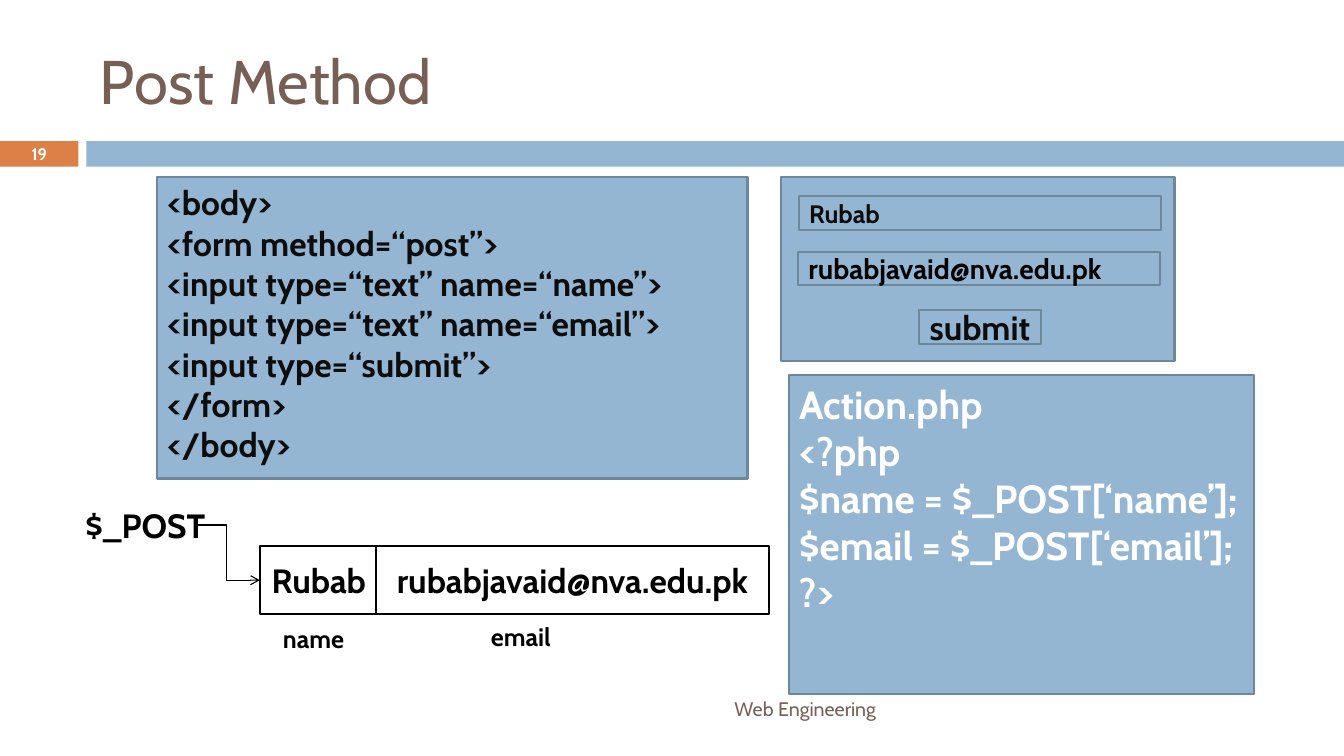
"""Build the Post Method slide."""
from dataclasses import dataclass

from lxml import etree
from pptx import Presentation
from pptx.dml.color import RGBColor
from pptx.enum.shapes import MSO_CONNECTOR, MSO_SHAPE
from pptx.enum.text import MSO_ANCHOR, PP_ALIGN
from pptx.oxml.ns import qn
from pptx.util import Cm, Pt

RECT = MSO_SHAPE.RECTANGLE
ELBOW = MSO_CONNECTOR.ELBOW
TOP, MIDDLE = MSO_ANCHOR.TOP, MSO_ANCHOR.MIDDLE
LEFT, CENTER, RIGHT = PP_ALIGN.LEFT, PP_ALIGN.CENTER, PP_ALIGN.RIGHT

FONT = "Cabin"
BLUE, EDGE, ORANGE = "94B6D2", "6D879B", "DD8047"
BROWN, INK, BLACK, WHITE = "775F55", "0D0D0D", "000000", "FFFFFF"
EMAIL = "rubabjavaid@nva.edu.pk"
FORM = """<body>
<form method=“post”>
<input type=“text” name=“name”>
<input type=“text” name=“email”>
<input type=“submit”>
</form>
</body>"""
ACTION = """Action.php
<?php
$name = $_POST[‘name’];
$email = $_POST[‘email’];
?>"""


@dataclass
class Text:
    """Words and their format."""
    words: str
    size: float
    color: str = BLACK
    align: PP_ALIGN = LEFT
    anchor: MSO_ANCHOR = MIDDLE
    bold: bool = True


@dataclass
class Box:
    """A rectangle in centimetres, plain when it has no fill."""
    left: float
    top: float
    width: float
    height: float
    text: Text | None = None
    fill: str | None = None
    edge: str | None = None


BOXES = {
    "tab": Box(0, 3.56, 1.98, 0.64, fill=ORANGE),
    "band": Box(2.18, 3.56, 31.69, 0.64, fill=BLUE),
    "footer": Box(2.26, 17.35, 20.07, 1.02,
                  Text("Web Engineering", 14, BROWN, RIGHT, bold=False)),
    "number": Box(0, 3.53, 1.98, 0.69, Text("19", 11.9, WHITE, CENTER)),
    "code": Box(3.96, 4.47, 14.88, 7.59, Text(FORM, 24, INK, anchor=TOP), BLUE, EDGE),
    "form": Box(19.69, 4.47, 9.91, 4.62, fill=BLUE, edge=EDGE),
    "name field": Box(20.14, 4.95, 9.12, 0.84, Text("Rubab", 18, INK), BLUE, EDGE),
    "email field": Box(20.12, 6.35, 9.12, 0.84, Text(EMAIL, 20), BLUE, EDGE),
    "submit": Box(23.16, 7.82, 3.07, 0.84, Text("submit", 24, INK, CENTER), BLUE, EDGE),
    "name cell": Box(6.55, 13.77, 2.97, 1.7, Text("Rubab", 24, align=CENTER), WHITE, BLACK),
    "name key": Box(6.88, 15.57, 2.34, 1.02, Text("name", 18, anchor=TOP)),
    "email key": Box(12.12, 15.54, 4.65, 1.02, Text("email", 18, anchor=TOP)),
    "array": Box(1.9, 12.6, 3.81, 1.27, Text("$_POST", 24, anchor=TOP)),
    "email cell": Box(9.47, 13.77, 9.91, 1.7, Text(EMAIL, 24, align=CENTER), WHITE, BLACK),
    "action": Box(19.89, 9.45, 11.71, 8.05, Text(ACTION, 28, WHITE, anchor=TOP), BLUE, EDGE),
}


def rgb(code: str) -> RGBColor:
    """Turn a hex string into a colour."""
    return RGBColor.from_string(code)


def write(shape, text: Text) -> None:
    """Put formatted text into a shape."""
    frame = shape.text_frame
    frame.text = text.words
    frame.word_wrap = True
    frame.vertical_anchor = text.anchor
    for para in frame.paragraphs:
        para.alignment = text.align
        font = para.font
        font.name, font.size, font.bold = FONT, Pt(text.size), text.bold
        font.color.rgb = rgb(text.color)


def draw(slide, box: Box):
    """Draw a box or a bare label."""
    area = [Cm(n) for n in (box.left, box.top, box.width, box.height)]
    if box.fill:
        shape = slide.shapes.add_shape(RECT, *area)
        shape.shadow.inherit = False
        shape.fill.solid()
        shape.fill.fore_color.rgb = rgb(box.fill)
        if box.edge:
            shape.line.color.rgb = rgb(box.edge)
            shape.line.width = Pt(1.5)
        else:
            shape.line.fill.background()
    else:
        shape = slide.shapes.add_textbox(*area)
    if box.text:
        write(shape, box.text)
    return shape


def link(slide, left: float, top: float, cell) -> None:
    """Draw a bent arrow to the left side of a cell."""
    arrow = slide.shapes.add_connector(ELBOW, Cm(left), Cm(top), Cm(6.55), Cm(14.62))
    arrow.end_connect(cell, 1)
    arrow.line.color.rgb = rgb(BLACK)
    arrow.line.width = Pt(0.79)
    etree.SubElement(arrow.line._get_or_add_ln(), qn("a:tailEnd"), type="arrow")
    etree.SubElement(arrow._element.spPr, qn("a:effectLst"))


def main() -> None:
    """Build and save the deck."""
    deck = Presentation()
    deck.slide_width, deck.slide_height = Cm(33.87), Cm(19.05)
    slide = deck.slides.add_slide(deck.slide_layouts[5])
    title = slide.shapes.title
    title.left, title.top, title.width, title.height = Cm(2.26), Cm(0.64), Cm(30.2), Cm(2.74)
    write(title, Text("Post Method", 44, BROWN, bold=False))
    shapes = {name: draw(slide, box) for name, box in BOXES.items()}
    link(slide, 4.88, 13.23, shapes["name cell"])
    deck.save("out.pptx")


if __name__ == "__main__":
    main()
